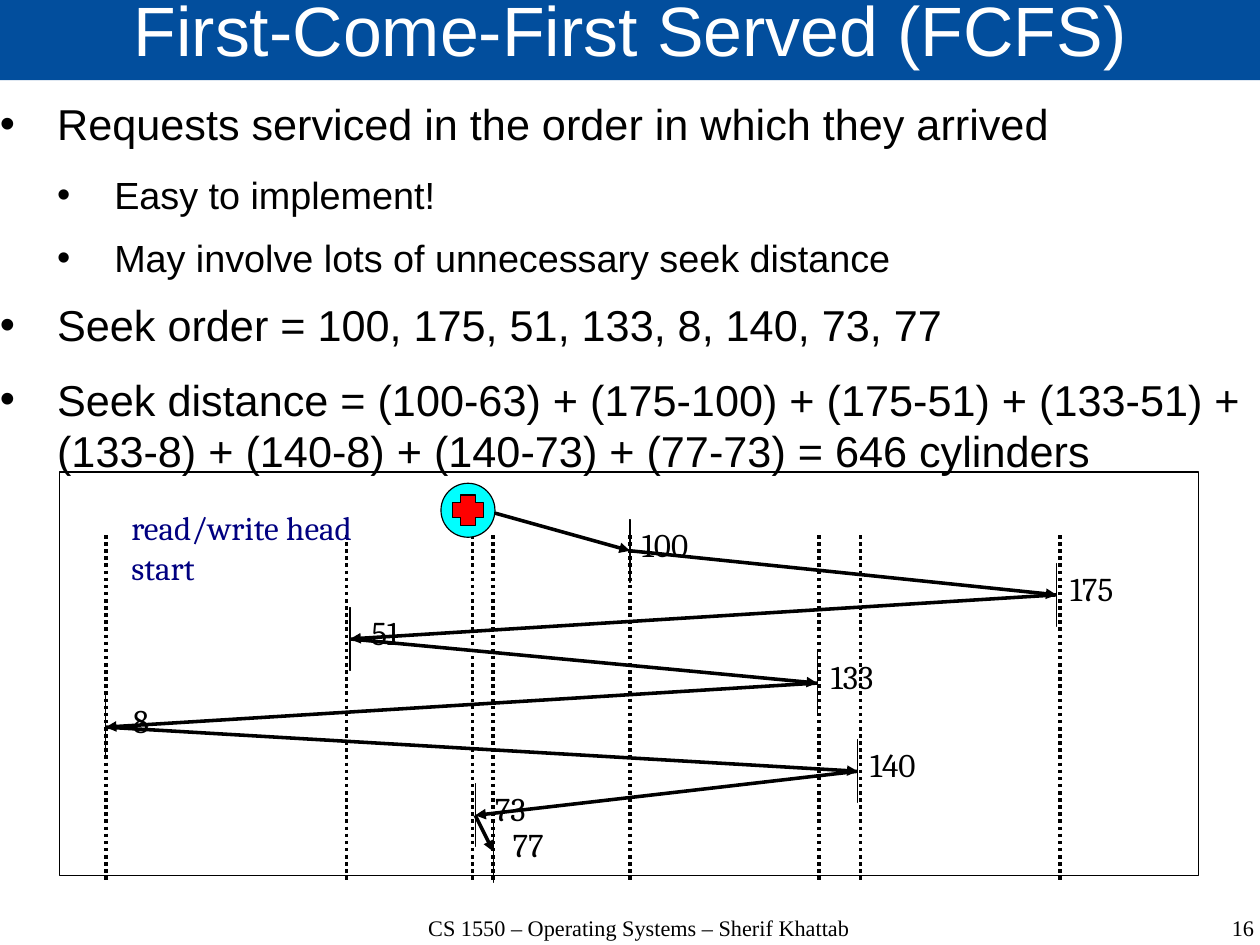
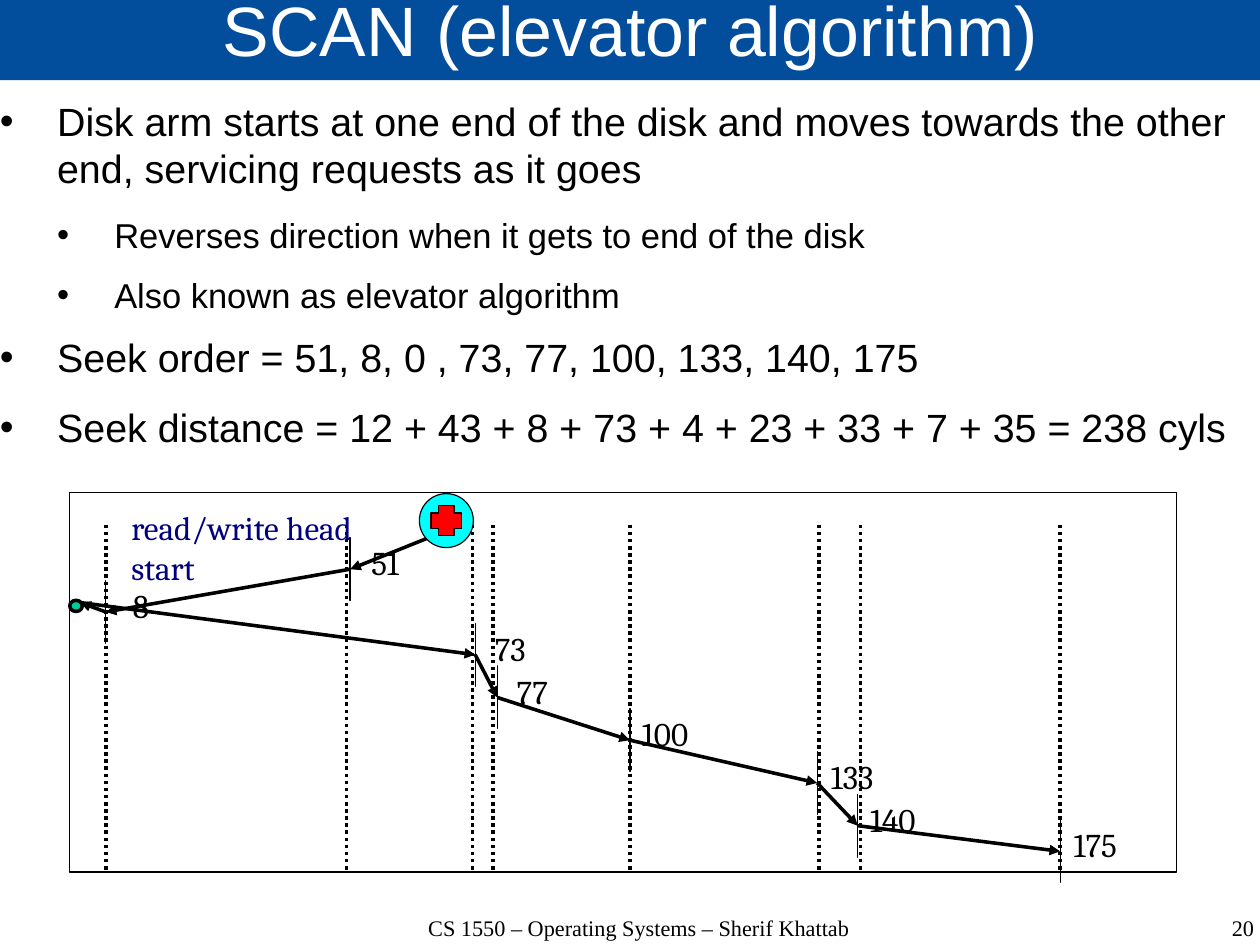
from dataclasses import dataclass
from lxml.etree import SubElement as Sub
from pptx import Presentation
from pptx.dml.color import RGBColor as Rgb
from pptx.enum.dml import MSO_LINE as Dash
from pptx.enum.shapes import MSO_CONNECTOR as Conn, MSO_SHAPE as Geo
from pptx.enum.text import MSO_ANCHOR as Anchor, PP_ALIGN as Align
from pptx.oxml.ns import qn
from pptx.util import Cm, Pt


@dataclass(frozen=True)
class Theme:
    band: str = "024E9D"
    white: str = "FFFFFF"
    ink: str = "000000"
    navy: str = "000080"
    green: str = "00CC99"
    cyan: str = "00FFFF"
    red: str = "FF0000"
    sans: str = "Arial"
    serif: str = "Cambria"
    roman: str = "Times New Roman"
    head: float = 44
    label: float = 20.9
    foot: float = 14
    thin: float = 0.75
    thick: float = 2.25


LEFT, RIGHT = 1, 3
FOOT = "CS 1550 – Operating Systems – Sherif Khattab"
GUIDES = (2.35, 7.7, 10.5, 10.96, 14, 18.2, 19.12, 23.56)
LAST = 18.92


class Deck:
    def __init__(self, look):
        self.look = look
        self.file = Presentation()
        self.file.slide_width, self.file.slide_height = Cm(28), Cm(21)
        self.slide = None

    def page(self, title, num):
        look = self.look
        self.slide = self.file.slides.add_slide(self.file.slide_layouts[6])
        bar = self.shape(Geo.RECTANGLE, 0, -0.05, 28.04, 1.83, look.band, None)
        frame = self.inset(bar.text_frame, 0, 0)
        frame.vertical_anchor = Anchor.MIDDLE
        para = frame.paragraphs[0]
        para.alignment, para.line_spacing = Align.CENTER, 0.69
        self.run(para, title, look.head, look.sans, look.white)
        for x, wide, side, words in ((7.8, 12.8, Align.CENTER, FOOT),
                                     (21.44, 6.43, Align.RIGHT, num)):
            para = self.box(x, 20.35, wide, 0.65).paragraphs[0]
            para.alignment, para.line_spacing = side, 0.96
            self.run(para, words, look.foot, look.roman, look.ink)

    def inset(self, frame, x, y):
        frame.margin_left = frame.margin_right = Cm(x)
        frame.margin_top = frame.margin_bottom = Cm(y)
        frame.word_wrap = True
        return frame

    def box(self, x, y, wide, high, side=0, top=0):
        box = self.slide.shapes.add_textbox(Cm(x), Cm(y), Cm(wide), Cm(high))
        return self.inset(box.text_frame, side, top)

    def run(self, para, words, size, face, ink):
        run = para.add_run()
        run.text = words
        run.font.size, run.font.name = Pt(size), face
        run.font.color.rgb = Rgb.from_string(ink)

    def shape(self, geo, x, y, wide, high, fill, line):
        item = self.slide.shapes.add_shape(geo, Cm(x), Cm(y), Cm(wide), Cm(high))
        item.shadow.inherit = False
        if fill:
            item.fill.solid()
            item.fill.fore_color.rgb = Rgb.from_string(fill)
        else:
            item.fill.background()
        if line:
            item.line.color.rgb = Rgb.from_string(self.look.ink)
            item.line.width = Pt(line)
        else:
            item.line.fill.background()
        return item

    def line(self, start, end):
        item = self.slide.shapes.add_connector(
            Conn.STRAIGHT, *(Cm(v) for v in (*start, *end)))
        item.line.color.rgb = Rgb.from_string(self.look.ink)
        item.line.width = Pt(self.look.thick)
        Sub(item._element.spPr, qn("a:effectLst"))
        return item

    def guide(self, x, top, end):
        self.line((x, top), (x, end)).line.dash_style = Dash.ROUND_DOT

    def arrow(self, start, end, tail=None, tip=None):
        item = self.line(start, end)
        Sub(item.line._get_or_add_ln(), qn("a:tailEnd"), type="triangle")
        if tail is not None:
            item.begin_connect(tail, RIGHT)
        if tip is not None:
            item.end_connect(tip, LEFT)

    def points(self, size, small, rows):
        look = self.look
        frame = self.box(0, 2.16, 28.04, 7.4)
        for i, (level, *lines) in enumerate(rows):
            para = frame.add_paragraph() if i else frame.paragraphs[0]
            para.level = level
            para.space_after = Pt(11.4 if level else 14.2)
            prop = para._p.get_or_add_pPr()
            prop.set("marL", str(int(Cm(1.27 * (level + 1)))))
            prop.set("indent", str(int(Cm(-1.27))))
            tint = Sub(prop, qn("a:buClr"))
            Sub(tint, qn("a:srgbClr"), val=look.ink)
            Sub(prop, qn("a:buFont"), typeface=look.sans)
            Sub(prop, qn("a:buChar"), char="•")
            for j, words in enumerate(lines):
                if j:
                    para.add_line_break()
                self.run(para, words, small if level else size, look.sans, look.ink)

    def mark(self, name, x, y):
        look = self.look
        post = self.shape(Geo.RECTANGLE, x, y - 0.7, 0, 1.4, look.green, look.thin)
        frame = self.box(x + 0.22, y - 0.72, 1.12, 1.17, 0, 0.13)
        frame.word_wrap = False
        para = frame.paragraphs[0]
        para.alignment = Align.CENTER
        self.run(para, str(name), look.label, look.serif, look.ink)
        return post

    def head(self, x, y):
        look = self.look
        for geo, size, fill in ((Geo.OVAL, 1.2, look.cyan), (Geo.CROSS, 0.68, look.red)):
            item = self.shape(geo, x - size / 2, y - size / 2, size, size, fill, look.thin)
        item.adjustments[0] = 0.25

    def chart(self, area, span, head, start, first, step, stops, turn=None):
        look = self.look
        for x in GUIDES:
            self.guide(x, *span)
        self.shape(Geo.RECTANGLE, *area, None, look.thin)
        spots = [(x, first + i * step) for i, (_, x) in enumerate(stops)]
        spots[-1] = (spots[-1][0], LAST)
        posts = [self.mark(name, *spot) for (name, _), spot in zip(stops, spots)]
        para = self.box(2.67, 11.15, 6.63, 2.1, 0.25, 0.13).paragraphs[0]
        self.run(para, "read/write head start", look.label, look.serif, look.navy)
        self.arrow(start, spots[0], tip=posts[0])
        for i in range(1, len(spots)):
            if turn and turn[0] == i:
                self.arrow(turn[1], spots[i], tip=posts[i])
                self.shape(Geo.OVAL, 1.55, 13.34, 0.28, 0.25, look.green, look.thick)
                self.arrow(spots[i - 1], turn[1], tail=posts[i - 1])
            else:
                self.arrow(spots[i - 1], spots[i], posts[i - 1], posts[i])
        self.head(*head)


def main():
    deck = Deck(Theme())
    deck.page("First-Come-First Served (FCFS)", "16")
    deck.points(27.2, 23.8, (
        (0, "Requests serviced in the order in which they arrived"),
        (1, "Easy to implement!"),
        (1, "May involve lots of unnecessary seek distance"),
        (0, "Seek order = 100, 175, 51, 133, 8, 140, 73, 77"),
        (0, "Seek distance = (100-63) + (175-100) + (175-51) + (133-51) +",
         "(133-8) + (140-8) + (140-73) + (77-73) = 646 cylinders")))
    deck.chart((1.32, 10.49, 25.32, 8.97), (11.89, 19.61), (10.4, 11.34),
               (10.74, 11.33), 12.24, 0.98,
               ((100, 14), (175, 23.48), (51, 7.78), (133, 18.16),
                (8, 2.35), (140, 19.06), (73, 10.56), (77, 10.96)))

    deck.page("SCAN (elevator algorithm)", "20")
    deck.points(24.8, 21.7, (
        (0, "Disk arm starts at one end of the disk and moves towards the other "
            "end, servicing requests as it goes"),
        (1, "Reverses direction when it gets to end of the disk"),
        (1, "Also known as elevator algorithm"),
        (0, "Seek order = 51, 8, 0 , 73, 77, 100, 133, 140, 175"),
        (0, "Seek distance = 12 + 43 + 8 + 73 + 4 + 23 + 33 + 7 + 35 = 238 cyls")))
    deck.chart((1.55, 10.95, 24.59, 8.43), (11.66, 19.35), (9.92, 11.57),
               (9.5, 11.96), 12.65, 0.95,
               ((51, 7.78), (8, 2.35), (73, 10.56), (77, 11.05),
                (100, 14), (133, 18.16), (140, 19.06), (175, 23.56)),
               (2, (1.78, 13.39)))
    deck.file.save("out.pptx")


if __name__ == "__main__":
    main()
